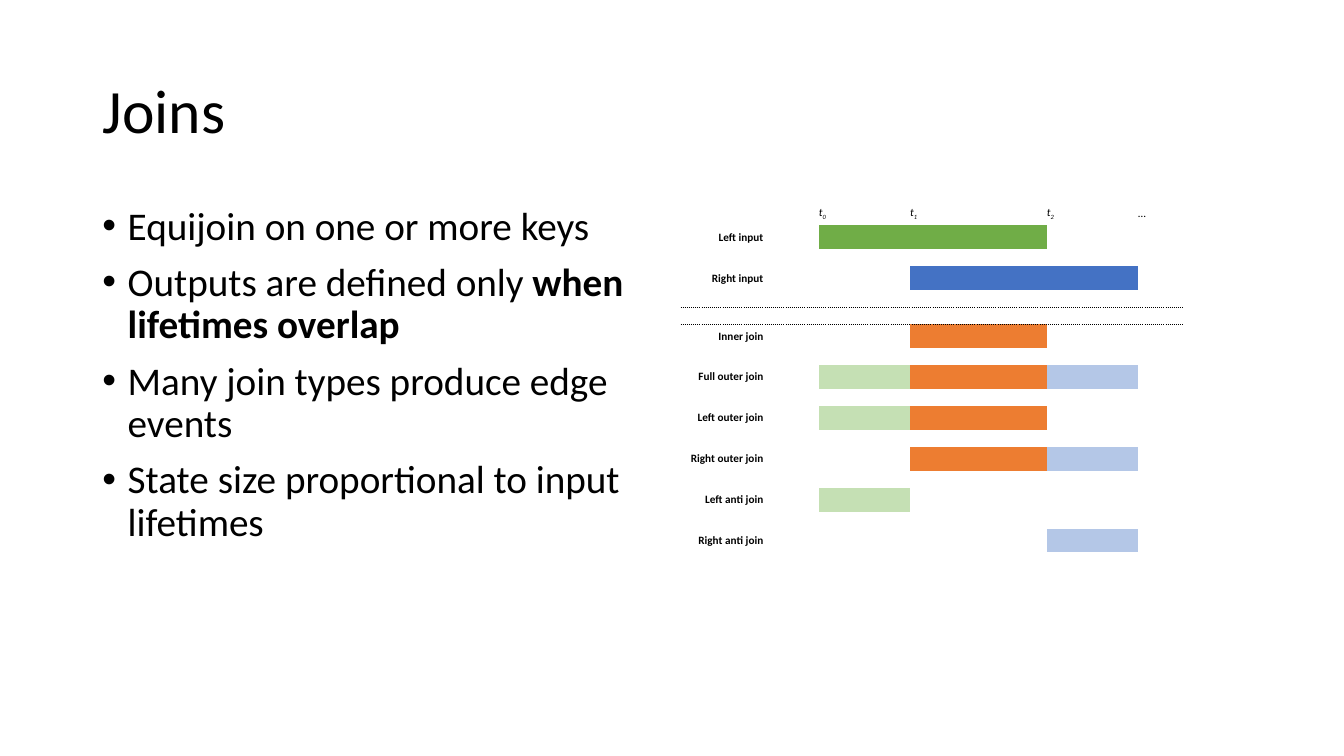
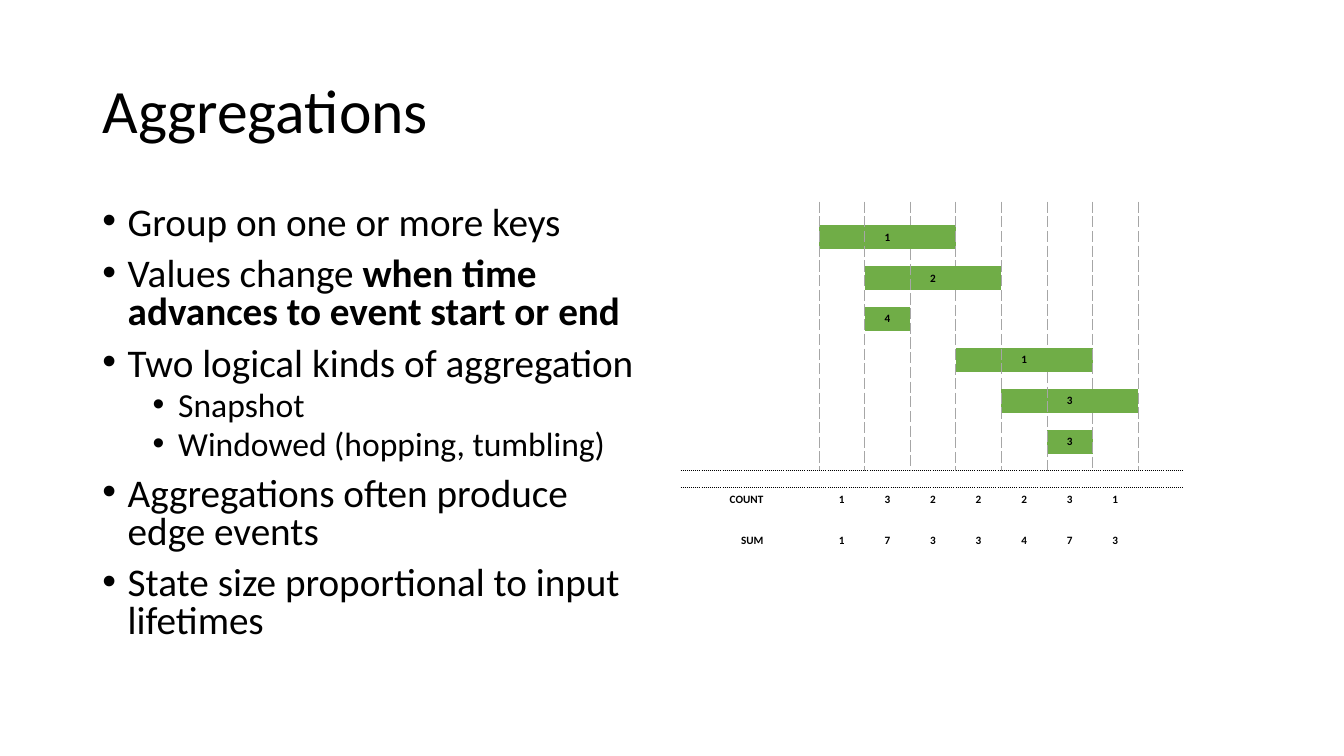
from dataclasses import dataclass
from lxml.etree import SubElement
from pptx import Presentation
from pptx.dml.color import RGBColor
from pptx.enum.text import MSO_ANCHOR as Anchor, PP_ALIGN as Align
from pptx.oxml.ns import qn
from pptx.util import Cm, Pt


@dataclass(frozen=True)
class Theme:
    font: str = "Calibri"
    ink: str = "000000"
    grid: str = "A6A6A6"
    green: str = "70AD47"
    blue: str = "4472C4"
    orange: str = "ED7D31"
    pale_green: str = "C5E0B4"
    pale_blue: str = "B4C7E7"
    title: float = 44
    bullets: tuple = (28, 24)
    bullet_gaps: tuple = (10, 5)
    bullet_indents: tuple = (0.64, 1.91)
    cell: float = 8
    gap: float = 4


theme = Theme()
NO_STYLE = "{2D5ABB26-0587-4C30-8999-92F81FD0307C}"
HANGING = 0.64
COLUMNS = 10
FIRST_TICK, LAST_TICK = 2, 9
TALL, SHORT = 0.6, 0.43


def write(paragraph, text, size, bold=False, italic=False, baseline=0):
    run = paragraph.add_run()
    run.text = text
    font = run.font
    font.name, font.size, font.bold, font.italic = theme.font, Pt(size), bold, italic
    font.color.rgb = RGBColor.from_string(theme.ink)
    if baseline:
        run._r.get_or_add_rPr().set("baseline", str(baseline * 1000))


def border(cell, side, color, width, dash):
    line = SubElement(cell._tc.get_or_add_tcPr(), qn(f"a:ln{side}"), w=str(Pt(width)))
    fill = SubElement(line, qn("a:solidFill"))
    SubElement(fill, qn("a:srgbClr"), val=color)
    SubElement(line, qn("a:prstDash"), val=dash)


# Content: each bar is (first column, column count, colour, value);
# bullets are (level, plain text, bold text); diagram rows are (label, bars, values)
left_rest = (2, 2, theme.pale_green, "")
overlap = (4, 3, theme.orange, "")
right_rest = (7, 2, theme.pale_blue, "")

topics = [
    dict(
        title="Joins",
        spacing=0.9,
        bullets=[
            (0, "Equijoin on one or more keys", ""),
            (0, "Outputs are defined only", " when lifetimes overlap"),
            (0, "Many join types produce edge events", ""),
            (0, "State size proportional to input lifetimes", ""),
        ],
        times={2: ("t", "0"), 4: ("t", "1"), 7: ("t", "2"), 9: ("…", "")},
        inputs=2,
        gridlines=False,
        rows=[
            ("Left input", [(2, 5, theme.green, "")], ""),
            ("Right input", [(4, 5, theme.blue, "")], ""),
            ("Inner join", [overlap], ""),
            ("Full outer join", [left_rest, overlap, right_rest], ""),
            ("Left outer join", [left_rest, overlap], ""),
            ("Right outer join", [overlap, right_rest], ""),
            ("Left anti join", [left_rest], ""),
            ("Right anti join", [right_rest], ""),
        ],
    ),
    dict(
        title="Aggregations",
        spacing=0.8,
        bullets=[
            (0, "Group on one or more keys", ""),
            (0, "Values change ", "when time advances to event start or end"),
            (0, "Two logical kinds of aggregation", ""),
            (1, "Snapshot", ""),
            (1, "Windowed (hopping, tumbling)", ""),
            (0, "Aggregations often produce edge events", ""),
            (0, "State size proportional to input lifetimes", ""),
        ],
        times={},
        inputs=6,
        gridlines=True,
        rows=[
            *[("", [(first, count, theme.green, value)], "") for first, count, value in
              [(2, 3, "1"), (3, 3, "2"), (3, 1, "4"), (5, 3, "1"), (6, 3, "3"), (7, 1, "3")]],
            ("COUNT", [], "1322231"),
            ("SUM", [], "1733473"),
        ],
    ),
]

deck = Presentation()
deck.slide_width, deck.slide_height = Cm(33.87), Cm(19.05)

for topic in topics:
    slide = deck.slides.add_slide(deck.slide_layouts[5])

    # Title
    title = slide.shapes.title
    title.left, title.top, title.width, title.height = Cm(2.33), Cm(1.01), Cm(29.21), Cm(3.68)
    title.text_frame.vertical_anchor = Anchor.MIDDLE
    heading = title.text_frame.paragraphs[0]
    heading.alignment, heading.line_spacing = Align.LEFT, 0.9
    write(heading, topic["title"], theme.title)

    # Bullets
    body = slide.shapes.add_textbox(Cm(2.33), Cm(5.07), Cm(14.4), Cm(12.09)).text_frame
    body.word_wrap = True
    for number, (level, plain, strong) in enumerate(topic["bullets"]):
        point = body.add_paragraph() if number else body.paragraphs[0]
        point.level = level
        point.line_spacing = topic["spacing"]
        point.space_before = Pt(theme.bullet_gaps[level])
        layout = point._p.get_or_add_pPr()
        layout.set("marL", str(Cm(theme.bullet_indents[level])))
        layout.set("indent", str(-Cm(HANGING)))
        SubElement(layout, qn("a:buFont"), typeface="Arial")
        SubElement(layout, qn("a:buChar"), char="•")
        write(point, plain, theme.bullets[level])
        if strong:
            write(point, strong, theme.bullets[level], bold=True)

    # Timeline rows: a gap follows each row, and a second one closes the inputs
    inputs = topic["inputs"]
    divider = 2 * inputs
    lanes = {1 + 2 * i + (i >= inputs): row for i, row in enumerate(topic["rows"])}
    row_count = 2 + 2 * len(lanes)
    frame = slide.shapes.add_table(row_count, COLUMNS, Cm(17.15), Cm(5.08), Cm(12.69), Cm(9.27))
    timeline = frame.table
    timeline.first_row = timeline.horz_banding = False
    next(frame._element.iter(qn("a:tableStyleId"))).text = NO_STYLE
    for index, column in enumerate(timeline.columns):
        column.width = Cm(1.15 if index else 2.34)

    for r, row in enumerate(timeline.rows):
        row.height = Cm(TALL if r == 0 or r in lanes else SHORT)
        label, bars, values = lanes.get(r, ("", [], ""))
        texts = {0: label, **{FIRST_TICK + i: value for i, value in enumerate(values)}}
        fills = {}
        for first, count, color, value in bars:
            fills.update(dict.fromkeys(range(first, first + count), color))
            texts[first + count // 2] = value
        ticks = [
            tick for tick in range(FIRST_TICK, LAST_TICK + 1)
            if topic["gridlines"] and r <= divider
            and not any(first < tick < first + count for first, count, *_ in bars)
        ]

        for c, cell in enumerate(row.cells):
            cell.margin_top = cell.margin_bottom = 0
            cell.margin_left = cell.margin_right = Cm(0 if c else 0.25)
            cell.vertical_anchor = Anchor.MIDDLE

            # Borders and fill
            for side, tick in (("L", c), ("R", c + 1)):
                if tick in ticks:
                    border(cell, side, theme.grid, 0.5, "sysDash")
            for side, edge in (("T", divider + 1), ("B", divider)):
                if r == edge:
                    border(cell, side, theme.ink, 1, "sysDot")
            if c in fills:
                cell.fill.solid()
                cell.fill.fore_color.rgb = RGBColor.from_string(fills[c])
            else:
                cell.fill.background()

            # Text
            entry = cell.text_frame.paragraphs[0]
            if r == 0 and c in topic["times"]:
                mark, subscript = topic["times"][c]
                write(entry, mark, theme.cell, italic=bool(subscript))
                if subscript:
                    write(entry, subscript, theme.cell, italic=True, baseline=-25)
            elif texts.get(c):
                entry.alignment = Align.CENTER if c else Align.RIGHT
                write(entry, texts[c], theme.cell, bold=True)
            else:
                SubElement(entry._p, qn("a:endParaRPr"), sz=str(theme.gap * 100))

deck.save("out.pptx")
